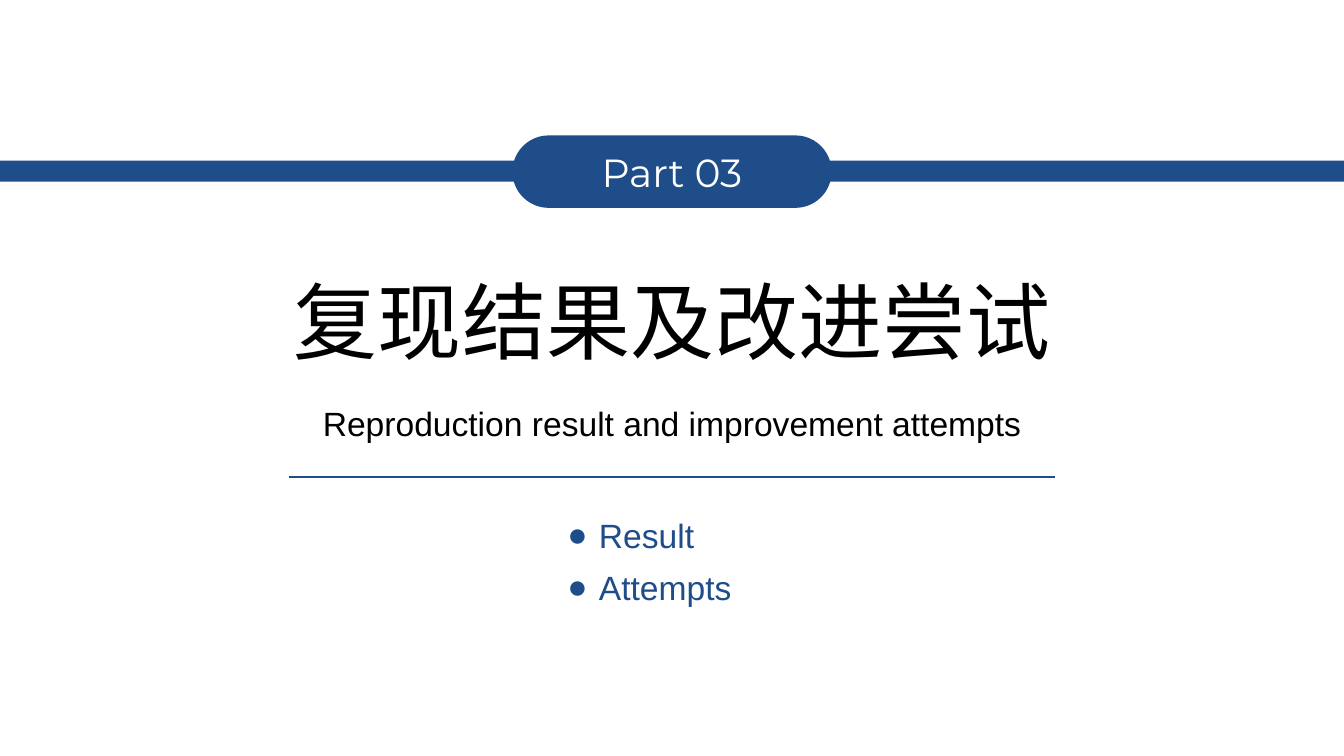
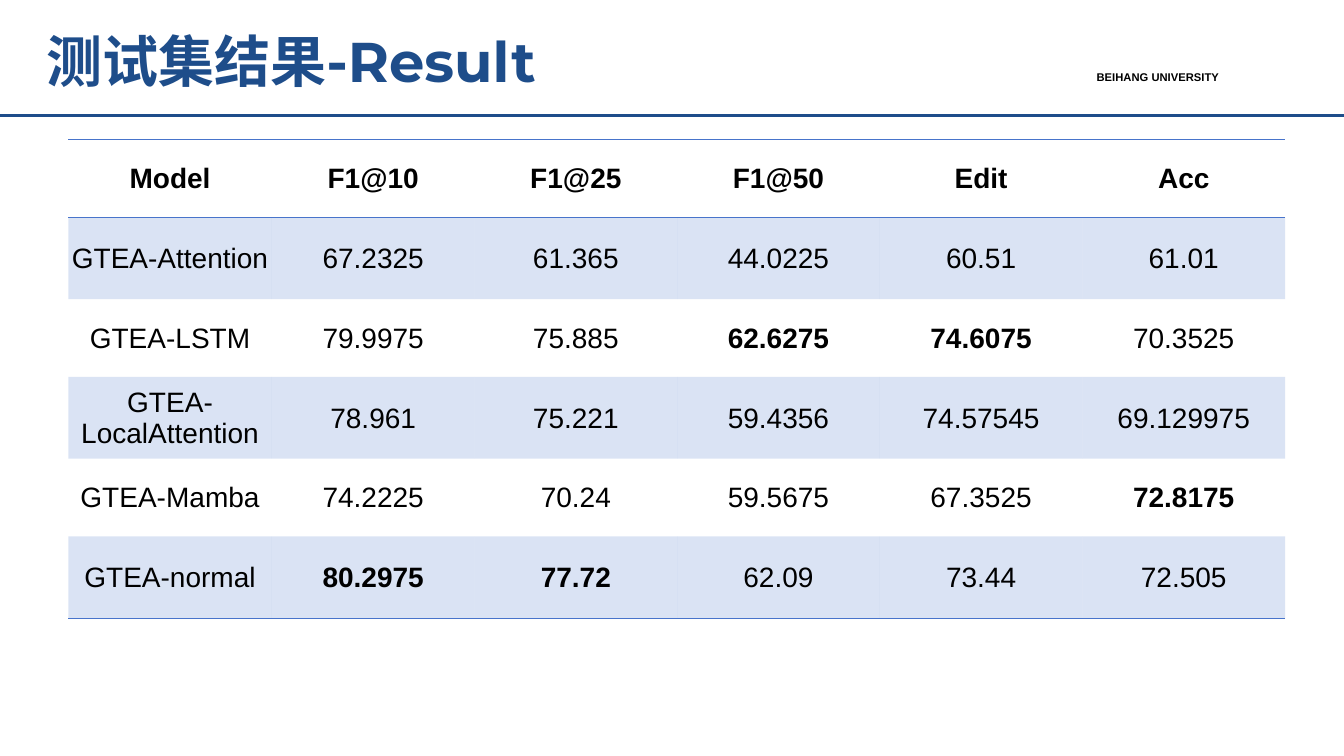
from lxml import etree
from pptx import Presentation, util as u
from pptx.dml import color
from pptx.enum import shapes, text
from pptx.oxml import ns

PX = 9525
WIDTH, HEIGHT = 1280, 720
COLORS = {"navy": "1E4D8A", "black": "000000", "white": "FFFFFF", "table": "4874CB"}
SANS, DISPLAY, CHINESE = "Arial", "Montserrat", "Noto Sans CJK SC"
LEFT, CENTER = text.PP_ALIGN.LEFT, text.PP_ALIGN.CENTER
NO_STYLE = "{2D5ABB26-0587-4C30-8999-92F81FD0307C}"
BULLET_INDENT = 30
FILL_OPACITY = 20000

MODELS_HEADER = ["Model", "F1@10", "F1@25", "F1@50", "Edit", "Acc"]
MODELS = [
    ["GTEA-Attention", "67.2325", "61.365", "44.0225", "60.51", "61.01"],
    ["GTEA-LSTM", "79.9975", "75.885", "62.6275", "74.6075", "70.3525"],
    ["GTEA-LocalAttention", "78.961", "75.221", "59.4356", "74.57545", "69.129975"],
    ["GTEA-Mamba", "74.2225", "70.24", "59.5675", "67.3525", "72.8175"],
    ["GTEA-normal", "80.2975", "77.72", "62.09", "73.44", "72.505"],
]


def px(length):
    return u.Emu(length * PX)


def rgb(name):
    return color.RGBColor.from_string(COLORS[name])


def child(parent, tag, **attributes):
    return etree.SubElement(parent, ns.qn(tag), attributes)


def write(frame, content, size=24, font=SANS, ink="black", bold=False,
          align=LEFT, spacing=None, bullet=None):
    """Fill a text frame with one paragraph for each line of content."""
    for index, line in enumerate(content.split("\n")):
        para = frame.add_paragraph() if index else frame.paragraphs[0]
        para.alignment = align
        if spacing:
            para.line_spacing = spacing
        if bullet:
            properties = para._p.get_or_add_pPr()
            properties.set("marL", str(px(BULLET_INDENT)))
            properties.set("indent", str(-px(BULLET_INDENT)))
            child(properties, "a:buFont", typeface=SANS)
            child(properties, "a:buChar", char=bullet)
        span = para.add_run()
        span.text = line
        span.font.size = u.Pt(size)
        span.font.bold = bold
        span.font.name = font
        span.font.color.rgb = rgb(ink)
        child(span._r.get_or_add_rPr(), "a:ea", typeface=CHINESE)


def add_text(page, left, top, width, height, content, **style):
    box = page.shapes.add_textbox(px(left), px(top), px(width), px(height))
    box.text_frame.word_wrap = True
    box.text_frame.auto_size = text.MSO_AUTO_SIZE.SHAPE_TO_FIT_TEXT
    write(box.text_frame, content, **style)


def add_block(page, kind, left, top, width, height):
    block = page.shapes.add_shape(kind, px(left), px(top), px(width), px(height))
    block.shadow.inherit = False
    block.fill.solid()
    block.fill.fore_color.rgb = rgb("navy")
    block.line.fill.background()
    return block


def add_rule(page, left, right, y, weight):
    rule = page.shapes.add_connector(
        shapes.MSO_CONNECTOR.STRAIGHT, px(left), px(y), px(right), px(y))
    rule.line.color.rgb = rgb("navy")
    rule.line.width = u.Pt(weight)
    child(rule._element.spPr, "a:effectLst")


def add_border(cell, side):
    line = child(cell._tc.get_or_add_tcPr(), side, w=str(u.Pt(1)))
    child(child(line, "a:solidFill"), "a:srgbClr", val=COLORS["table"])


def tint(cell):
    cell.fill.solid()
    cell.fill.fore_color.rgb = rgb("table")
    shade = cell._tc.tcPr.find(ns.qn("a:solidFill"))[0]
    child(shade, "a:alpha", val=str(FILL_OPACITY))


def add_result_table(page, left, top, header, records):
    """Draw the scores with the best of each column in bold."""
    rows = [header] + records
    widths = [194] + [193] * (len(header) - 1)
    heights = [78 if index % 2 else 74 for index in range(len(rows))]
    table = page.shapes.add_table(
        len(rows), len(header), px(left), px(top),
        px(sum(widths)), px(sum(heights))).table
    table.first_row = table.horz_banding = False
    table._tbl.tblPr.find(ns.qn("a:tableStyleId")).text = NO_STYLE
    for column, width in zip(table.columns, widths):
        column.width = px(width)
    best = [None] + [max(scores, key=float) for scores in list(zip(*records))[1:]]

    for r, values in enumerate(rows):
        table.rows[r].height = px(heights[r])
        for c, value in enumerate(values):
            cell = table.cell(r, c)
            cell.margin_left = cell.margin_right = cell.margin_top = px(1)
            cell.margin_bottom = 0
            cell.vertical_anchor = text.MSO_ANCHOR.MIDDLE
            write(cell.text_frame, value, size=20, align=CENTER,
                  bold=r == 0 or value == best[c])
            if r == 0:
                add_border(cell, "a:lnT")
            if r in (0, len(rows) - 1):
                add_border(cell, "a:lnB")
            if r % 2:
                tint(cell)
            else:
                cell.fill.background()


def add_page(deck):
    page = deck.slides.add_slide(deck.slide_layouts[6])
    page.background.fill.solid()
    page.background.fill.fore_color.rgb = rgb("white")
    return page


def add_section_page(deck, part, title, subtitle, topics):
    page = add_page(deck)
    add_text(page, 108, 252, 1064, 107, title, size=60, font=CHINESE, align=CENTER)
    add_text(page, 261, 360, 758, 60, subtitle, align=CENTER, spacing=1.5)
    add_rule(page, 275, 1005, 454, 1.25)
    add_block(page, shapes.MSO_SHAPE.RECTANGLE, 0, 153, WIDTH, 20)
    pill = add_block(page, shapes.MSO_SHAPE.ROUNDED_RECTANGLE, 488, 129, 304, 69)
    pill.adjustments[0] = 0.5
    pill.text_frame.vertical_anchor = text.MSO_ANCHOR.MIDDLE
    write(pill.text_frame, part, size=28, font=DISPLAY, ink="white", align=CENTER)
    add_text(page, 531, 474, 219, 106, topics, ink="navy", spacing=1.3, bullet="●")


def add_content_page(deck, title):
    page = add_page(deck)
    add_rule(page, 0, WIDTH, 110, 2.25)
    add_text(page, 35, 21, 876, 74, title, size=40, font=DISPLAY, ink="navy", bold=True)
    add_text(page, 1035, 62, 224, 23, "BEIHANG UNIVERSITY", size=8, bold=True,
             align=text.PP_ALIGN.JUSTIFY)
    return page


def main():
    deck = Presentation()
    deck.slide_width, deck.slide_height = px(WIDTH), px(HEIGHT)
    add_section_page(deck, "Part 03", "复现结果及改进尝试",
                     "Reproduction result and improvement attempts",
                     "Result\nAttempts")
    page = add_content_page(deck, "测试集结果-Result")
    add_result_table(page, 65, 133, MODELS_HEADER, MODELS)
    deck.save("out.pptx")


if __name__ == "__main__":
    main()
